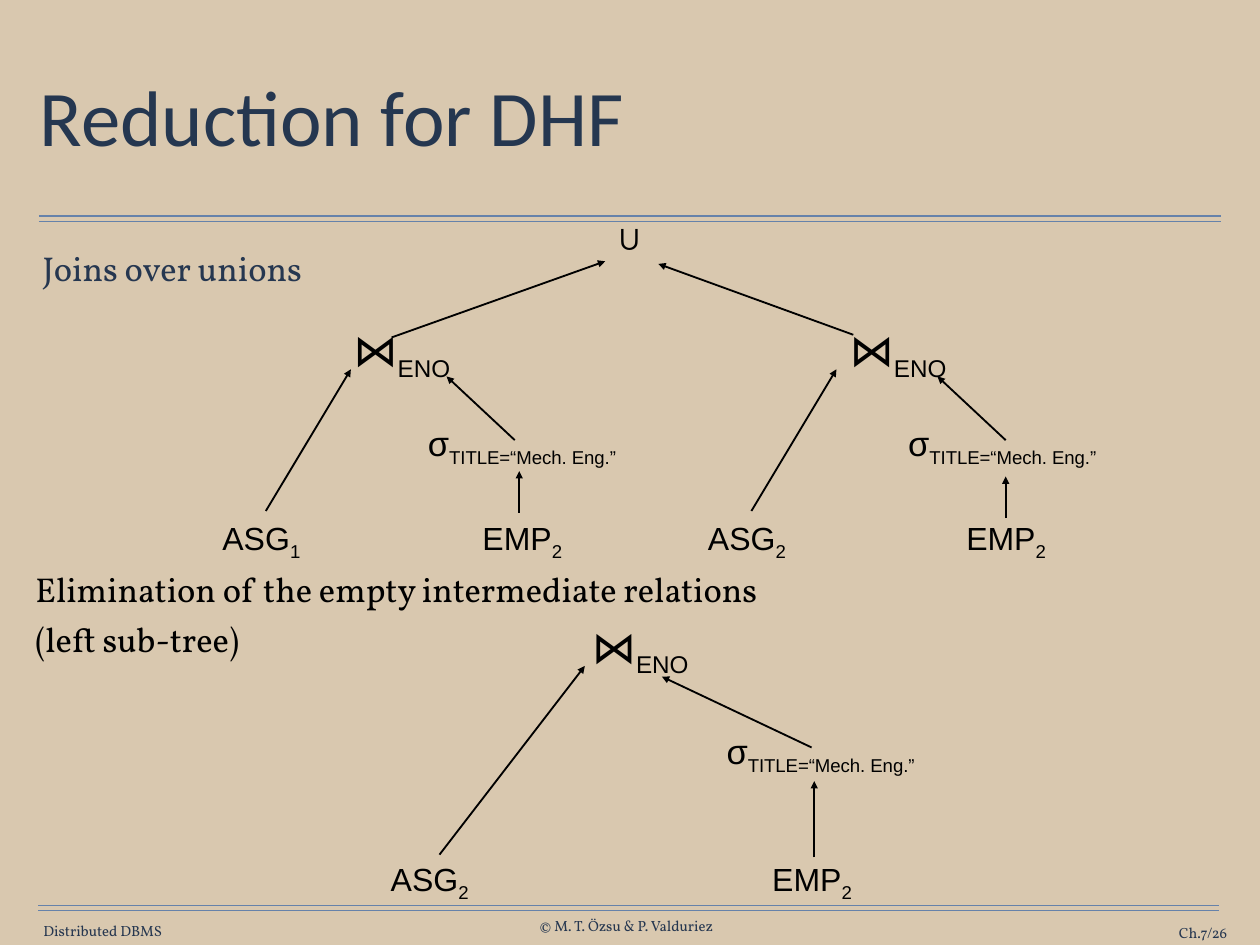
"""Build the slide showing how joins over unions are reduced for DHF."""
from dataclasses import dataclass

import pptx
import pptx.dml.color
import pptx.enum.dml
import pptx.enum.shapes
import pptx.enum.text
import pptx.oxml.ns
import pptx.util
from lxml import etree

Inches = pptx.util.Inches
Point = tuple[float, float]
Box = tuple[float, float, float, float]
Align = pptx.enum.text.PP_ALIGN
Anchor = pptx.enum.text.MSO_ANCHOR

COLORS = {
    "background": "D9C8AF",
    "rule": "6682AA",
    "navy": "263750",
    "title": "253750",
    "black": "000000",
}
LABEL_MARGINS = (0.14, 0.07)


@dataclass(frozen=True)
class Run:
    text: str
    size: float
    font: str = "Arial"
    subscript: bool = False


@dataclass(frozen=True)
class Arrow:
    start: Point
    end: Point


@dataclass(frozen=True)
class JoinTree:
    join: Point
    selection: Point
    assignment: Point
    employee: Point
    fragment: str
    arrows: tuple[Arrow, ...]


@dataclass(frozen=True)
class Footer:
    text: str
    box: Box
    align: Align
    wrap: bool


JOIN_TREES = (
    JoinTree((3.75, 3.57), (4.53, 4.69), (2.35, 5.78), (5.29, 5.78), "1", (
        Arrow((3, 5.77), (3.96, 4.17)),
        Arrow((5.81, 4.97), (5.04, 4.25)),
        Arrow((5.86, 5.79), (5.86, 5.32)),
        Arrow((4.42, 3.81), (6.83, 2.95)),
    )),
    JoinTree((9.35, 3.57), (9.95, 4.69), (7.83, 5.78), (10.75, 5.78), "2", (
        Arrow((8.48, 5.77), (9.44, 4.17)),
        Arrow((11.35, 4.97), (10.58, 4.25)),
        Arrow((11.35, 5.85), (11.35, 5.38)),
        Arrow((9.63, 3.78), (7.43, 2.98)),
    )),
    JoinTree((6.44, 6.92), (7.9, 8.17), (4.25, 9.64), (8.56, 9.64), "2", (
        Arrow((4.96, 9.65), (6.6, 7.52)),
        Arrow((9.16, 8.44), (7.47, 7.64)),
        Arrow((9.19, 9.68), (9.19, 8.82)),
    )),
)
FOOTERS = (
    Footer("Distributed DBMS", (0.47, 10.41, 1.38, 0.2), Align.CENTER, False),
    Footer("© M. T. Özsu & P. Valduriez", (6.03, 10.35, 2.08, 0.2), Align.CENTER, False),
    Footer("Ch.7/26", (12.31, 10.43, 1.54, 0.2), Align.RIGHT, True),
)


def rgb(name: str) -> pptx.dml.color.RGBColor:
    return pptx.dml.color.RGBColor.from_string(COLORS[name])


def add_text(slide, box: Box, paragraphs: list[list[Run]], *, color: str = "black",
             align: Align = Align.LEFT, anchor: Anchor = Anchor.TOP,
             margins: Point = LABEL_MARGINS, wrap: bool = True,
             line_spacing: float = 1.0, space_before: float = 0) -> None:
    frame = slide.shapes.add_textbox(*map(Inches, box)).text_frame
    frame.word_wrap = wrap
    frame.vertical_anchor = anchor
    frame.margin_left = frame.margin_right = Inches(margins[0])
    frame.margin_top = frame.margin_bottom = Inches(margins[1])
    for index, runs in enumerate(paragraphs):
        paragraph = frame.add_paragraph() if index else frame.paragraphs[0]
        paragraph.alignment = align
        paragraph.line_spacing = line_spacing
        paragraph.space_before = pptx.util.Pt(space_before if index else 0)
        for item in runs:
            run = paragraph.add_run()
            run.text = item.text
            run.font.name = item.font
            run.font.size = pptx.util.Pt(item.size)
            run.font.color.rgb = rgb(color)
            if item.subscript:
                run.font._element.set("baseline", "-25000")


def add_label(slide, place: Point, size: Point, runs: list[Run], wrap: bool = False) -> None:
    add_text(slide, (*place, *size), [runs], align=Align.CENTER, wrap=wrap)


def add_line(slide, start: Point, end: Point, color: str, width: float,
             arrowhead: bool = False) -> None:
    connector = slide.shapes.add_connector(
        pptx.enum.shapes.MSO_CONNECTOR.STRAIGHT, *map(Inches, (*start, *end)))
    connector.line.color.rgb = rgb(color)
    connector.line.width = pptx.util.Pt(width)
    if arrowhead:
        etree.SubElement(connector.line._get_or_add_ln(),
                         pptx.oxml.ns.qn("a:tailEnd"), type="triangle")
    etree.SubElement(connector._element.spPr, pptx.oxml.ns.qn("a:effectLst"))


def add_double_rule(slide, left: float, right: float, top: float) -> None:
    for y in (top, top + 0.06):
        add_line(slide, (left, y), (right, y), "rule", 1)


def add_join_tree(slide, tree: JoinTree) -> None:
    for arrow in tree.arrows:
        add_line(slide, arrow.start, arrow.end, "black", 1.5, arrowhead=True)
    add_label(slide, tree.join, (1.57, 0.75),
              [Run("⋈", 36, "Vollkorn"), Run("ENO", 34, subscript=True)], wrap=True)
    add_label(slide, tree.selection, (2.72, 0.61),
              [Run("σ", 28), Run("TITLE=“Mech. Eng.”", 26, subscript=True)])
    add_label(slide, tree.assignment, (1.2, 0.58),
              [Run("ASG", 26), Run(tree.fragment, 26, subscript=True)])
    add_label(slide, tree.employee, (1.21, 0.58),
              [Run("EMP", 26), Run("2", 26, subscript=True)])


def main() -> None:
    presentation = pptx.Presentation()
    presentation.slide_width = Inches(14.22)
    presentation.slide_height = Inches(10.67)
    slide = presentation.slides.add_slide(presentation.slide_layouts[6])
    slide.background.fill.solid()
    slide.background.fill.fore_color.rgb = rgb("background")

    add_double_rule(slide, 0.44, 13.78, 2.44)
    add_double_rule(slide, 0.43, 13.76, 10.22)
    for footer in FOOTERS:
        add_text(slide, footer.box, [[Run(footer.text, 12, "Vollkorn")]], color="navy",
                 align=footer.align, anchor=Anchor.MIDDLE, margins=(0, 0), wrap=footer.wrap)

    add_text(slide, (0.39, 0.49, 13.44, 1.76), [[Run("Reduction for DHF", 64, "Calibri")]],
             color="title", anchor=Anchor.MIDDLE, margins=(0.06, 0.06), line_spacing=0.9)
    add_text(slide, (0.34, 2.58, 4.5, 0.75), [[Run("Joins over unions", 28, "Vollkorn")]],
             color="navy", line_spacing=1.3)
    add_text(slide, (0.34, 6.36, 11.14, 1.33),
             [[Run("Elimination of the empty intermediate relations", 28, "Vollkorn")],
              [Run("(left sub-tree)", 28, "Vollkorn")]],
             margins=(0.06, 0.06), space_before=6.5)

    add_label(slide, (6.81, 2.37), (0.59, 0.61), [Run("∪", 28)])
    for tree in JOIN_TREES:
        add_join_tree(slide, tree)
    presentation.save("out.pptx")


if __name__ == "__main__":
    main()
